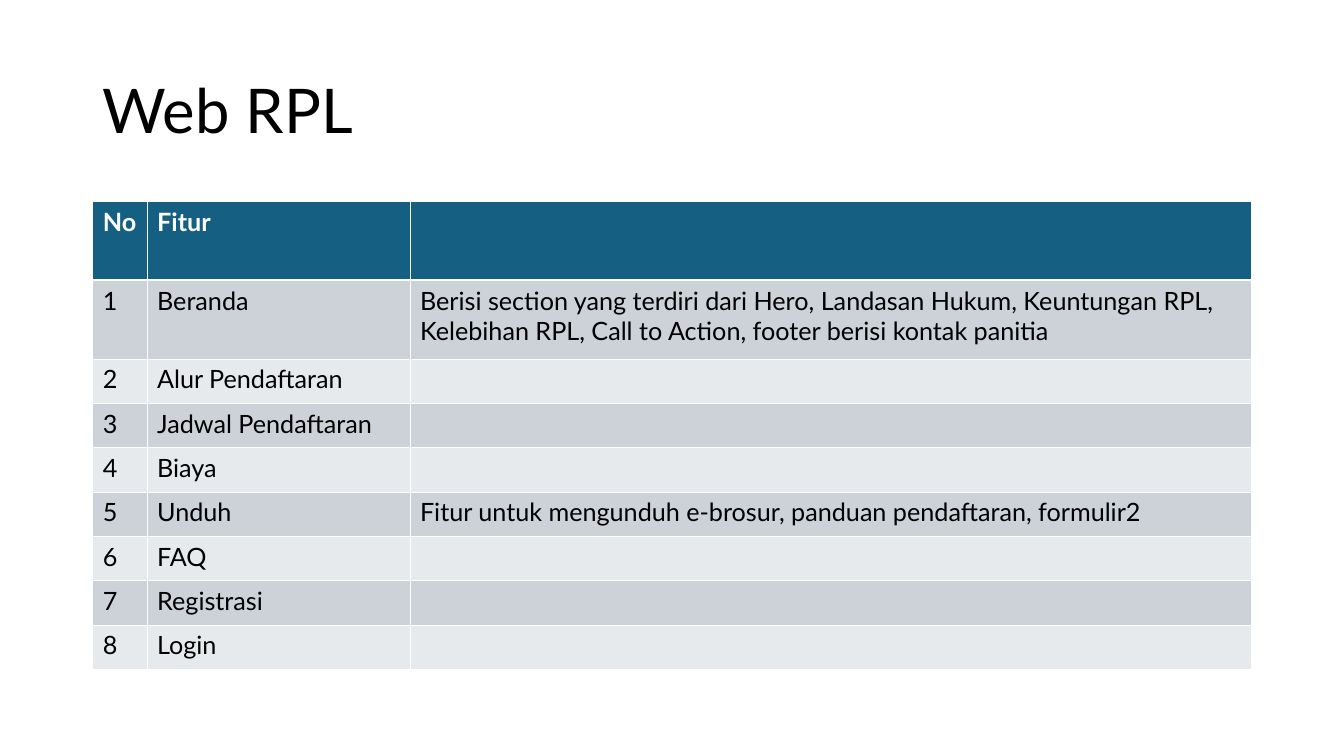
from lxml.etree import SubElement
from pptx import Presentation
from pptx.dml.color import RGBColor
from pptx.enum.text import MSO_ANCHOR
from pptx.oxml.ns import qn
from pptx.util import Inches, Pt

FONT = "Lato"
BLACK = RGBColor(0x00, 0x00, 0x00)
WHITE = RGBColor(0xFF, 0xFF, 0xFF)
HEADER_BLUE = RGBColor(0x15, 0x60, 0x82)
BAND_DARK = RGBColor(0xCC, 0xD2, 0xD8)
BAND_LIGHT = RGBColor(0xE7, 0xEA, 0xED)

FEATURES = [
    ("No", "Fitur", ""),
    ("1", "Beranda", "Berisi section yang terdiri dari Hero, Landasan Hukum, Keuntungan RPL, "
                     "Kelebihan RPL, Call to Action, footer berisi kontak panitia"),
    ("2", "Alur Pendaftaran", ""),
    ("3", "Jadwal Pendaftaran", ""),
    ("4", "Biaya", ""),
    ("5", "Unduh", "Fitur untuk mengunduh e-brosur, panduan pendaftaran, formulir2"),
    ("6", "FAQ", ""),
    ("7", "Registrasi", ""),
    ("8", "Login", ""),
]
COLUMN_WIDTHS = [0.54, 2.61, 8.35]
ROW_HEIGHTS = [0.78] * 2 + [0.44] * 7


def style_text(para, size, color, bold=False):
    para.font.name = FONT
    para.font.size = Pt(size)
    para.font.bold = bold
    para.font.color.rgb = color


def add_border(cell, side, width):
    line = SubElement(cell._tc.get_or_add_tcPr(), qn(f"a:ln{side}"), w=str(Pt(width)))
    fill = SubElement(line, qn("a:solidFill"))
    SubElement(fill, qn("a:srgbClr"), val=str(WHITE))


deck = Presentation()
deck.slide_width = Inches(13.34)
deck.slide_height = Inches(7.5)
page = deck.slides.add_slide(deck.slide_layouts[6])

title = page.shapes.add_textbox(Inches(0.92), Inches(0.4), Inches(11.5), Inches(1.45))
title.text_frame.word_wrap = True
title.text_frame.vertical_anchor = MSO_ANCHOR.MIDDLE
title.text_frame.text = "Web RPL"
title_para = title.text_frame.paragraphs[0]
title_para.line_spacing = 0.9
style_text(title_para, 44, BLACK)

table = page.shapes.add_table(
    len(FEATURES), len(COLUMN_WIDTHS), Inches(0.92), Inches(2),
    Inches(sum(COLUMN_WIDTHS)), Inches(sum(ROW_HEIGHTS))).table
for column, width in zip(table.columns, COLUMN_WIDTHS):
    column.width = Inches(width)
for row, height in zip(table.rows, ROW_HEIGHTS):
    row.height = Inches(height)

for row_number, feature in enumerate(FEATURES):
    is_header = row_number == 0
    if is_header:
        background = HEADER_BLUE
    else:
        background = BAND_DARK if row_number % 2 else BAND_LIGHT
    for column_number, text in enumerate(feature):
        cell = table.cell(row_number, column_number)
        cell.text_frame.text = text
        style_text(cell.text_frame.paragraphs[0], 18, WHITE if is_header else BLACK, is_header)
        for side in "LRTB":
            below_header = (row_number, side) in [(0, "B"), (1, "T")]
            add_border(cell, side, 1.47 if below_header else 0.45)
        cell.fill.solid()
        cell.fill.fore_color.rgb = background

deck.save("out.pptx")
